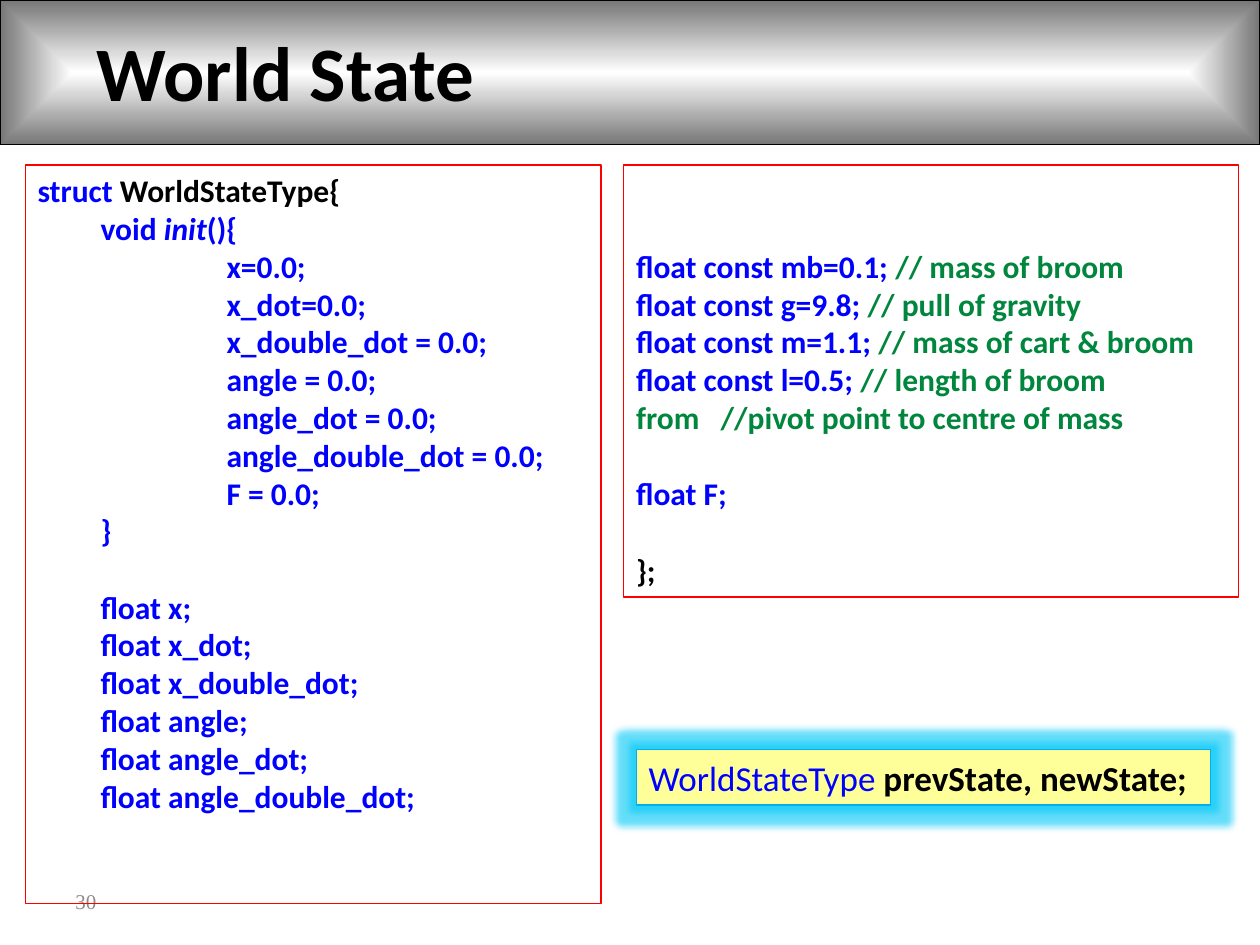
"""Builds the World State slide."""
import dataclasses

import lxml.etree
import pptx
import pptx.dml.color
import pptx.enum.shapes
import pptx.enum.text
import pptx.oxml.ns
import pptx.util

Inches = pptx.util.Inches
Pt = pptx.util.Pt
qn = pptx.oxml.ns.qn


@dataclasses.dataclass(frozen=True)
class Theme:
    """Colours, fonts and sizes of the slide."""
    black: str = "000000"
    white: str = "FFFFFF"
    metal: str = "767676"
    code: str = "0000FF"
    comment: str = "00863D"
    frame: str = "FF0000"
    note: str = "FFFF99"
    note_line: str = "00B0F0"
    glow: str = "00C8F8"
    muted: str = "8C8C8C"
    font: str = "Calibri"
    number_font: str = "Times New Roman"
    title_size: int = 44
    note_size: int = 20
    code_size: int = 18
    number_size: int = 12
    code_line: int = 22


@dataclasses.dataclass
class Line:
    """One paragraph of (text, colour, italic) spans; None is a line break."""
    spans: list
    indent: float = 0
    blank_before: int = 0


class SlideBuilder:
    """Draws the elements of the current slide in one style."""

    def __init__(self, slide, theme):
        self.slide = slide
        self.theme = theme

    def color(self, value):
        """Return a colour object."""
        return pptx.dml.color.RGBColor.from_string(value)

    def rectangle(self, place, line, fill=None):
        """Add a thinly outlined rectangle."""
        kind = pptx.enum.shapes.MSO_SHAPE.RECTANGLE
        box = self.slide.shapes.add_shape(kind, *map(Inches, place))
        box.shadow.inherit = False
        box.line.color.rgb = self.color(line)
        box.line.width = Pt(0.75)
        if fill:
            box.fill.solid()
            box.fill.fore_color.rgb = self.color(fill)
        else:
            box.fill.background()
        return box

    def header(self, place):
        """Add the metallic bar that shades towards its edges."""
        bar = self.rectangle(place, self.theme.black)
        bar.fill.gradient()
        for stop, value in zip(bar.fill.gradient_stops, (self.theme.white, self.theme.metal)):
            stop.color.rgb = self.color(value)
        gradient = bar._element.spPr.find(qn("a:gradFill"))
        gradient.remove(gradient.find(qn("a:lin")))
        shading = lxml.etree.SubElement(gradient, qn("a:path"), {"path": "shape"})
        sides = dict.fromkeys("ltrb", "50000")
        lxml.etree.SubElement(shading, qn("a:fillToRect"), sides)

    def label(self, place, text, size, font, color, bold=False):
        """Add one line of plain text, centred vertically."""
        box = self.slide.shapes.add_textbox(*map(Inches, place))
        frame = box.text_frame
        frame.word_wrap = True
        frame.vertical_anchor = pptx.enum.text.MSO_ANCHOR.MIDDLE
        para = frame.paragraphs[0]
        para.text = text
        self.style(para.font, size, font, bold)
        para.font.color.rgb = self.color(color)

    def style(self, target, size, font, bold):
        """Set size, typeface and weight."""
        target.size = Pt(size)
        target.name = font
        target.bold = bold

    def code_box(self, place, lines, top=0.05):
        """Add a framed box of code, set from the given top inset."""
        frame = self.rectangle(place, self.theme.frame).text_frame
        frame.word_wrap = True
        frame.margin_top = Inches(top)
        frame.vertical_anchor = pptx.enum.text.MSO_ANCHOR.TOP
        for index, line in enumerate(lines):
            para = frame.add_paragraph() if index else frame.paragraphs[0]
            para.alignment = pptx.enum.text.PP_ALIGN.LEFT
            para._p.get_or_add_pPr().set("marL", str(Inches(line.indent)))
            if line.blank_before:
                para.space_before = Pt(line.blank_before * self.theme.code_line)
            self.style(para.font, self.theme.code_size, self.theme.font, True)
            self.spans(para, line.spans)

    def spans(self, para, spans):
        """Add coloured runs to a paragraph."""
        for entry in spans:
            if entry is None:
                para.add_line_break()
                continue
            text, color, *italic = entry
            span = para.add_run()
            span.text = text
            span.font.color.rgb = self.color(color)
            if italic:
                span.font.italic = True

    def note(self, place, kind, names):
        """Add the glowing declaration box."""
        box = self.rectangle(place, self.theme.note_line, self.theme.note)
        effects = box._element.spPr.find(qn("a:effectLst"))
        glow = lxml.etree.SubElement(effects, qn("a:glow"), {"rad": str(Pt(8))})
        tint = lxml.etree.SubElement(glow, qn("a:srgbClr"), {"val": self.theme.glow})
        lxml.etree.SubElement(tint, qn("a:alpha"), {"val": "60000"})
        box.text_frame.word_wrap = False
        para = box.text_frame.paragraphs[0]
        para.alignment = pptx.enum.text.PP_ALIGN.LEFT
        self.style(para.font, self.theme.note_size, self.theme.font, False)
        self.spans(para, [(kind, self.theme.code), (names, self.theme.black)])
        para.runs[1].font.bold = True


def main():
    """Build and save the deck."""
    theme = Theme()
    deck = pptx.Presentation()
    deck.slide_width, deck.slide_height = Inches(10), Inches(7.5)
    page = SlideBuilder(deck.slides.add_slide(deck.slide_layouts[6]), theme)

    page.label((0.5, 6.95, 2.33, 0.4), "30", theme.number_size, theme.number_font, theme.muted)
    page.header((0, 0, 10, 1.15))
    page.label((0.67, 0, 7.16, 1.13), "World State", theme.title_size, theme.font,
               theme.black, bold=True)

    variables = ["x", "x_dot", "x_double_dot", "angle", "angle_dot", "angle_double_dot"]
    resets = ["x=0.0;"] + [f"{name} = 0.0;" for name in variables[2:] + ["F"]]
    resets.insert(1, "x_dot=0.0;")
    struct = [
        Line([("struct ", theme.code), ("WorldStateType{", theme.black)]),
        Line([("void ", theme.code), ("init", theme.code, True), ("(){", theme.code)], 0.5),
        *[Line([(reset, theme.code)], 1.5) for reset in resets],
        Line([("}", theme.code)], 0.5),
        *[Line([(f"float {name};", theme.code)], 0.5, 0 if index else 1)
          for index, name in enumerate(variables)],
    ]
    page.code_box((0.2, 1.31, 4.57, 5.86), struct)

    constants = [
        ("mb=0.1", "// mass of broom"),
        ("g=9.8", "// pull of gravity"),
        ("m=1.1", "// mass of cart & broom"),
        ("l=0.5", "// length of broom "),
    ]
    members = [Line([(f"float const {value}; ", theme.code), (remark, theme.comment)])
               for value, remark in constants]
    members[-1].spans += [None, ("from   //pivot point to centre of mass", theme.comment)]
    members += [Line([("float F;", theme.code)], blank_before=1),
                Line([("};", theme.black)], blank_before=1)]
    page.code_box((4.95, 1.31, 4.88, 3.43), members, top=0.65)

    page.note((5.05, 5.95, 4.56, 0.44), "WorldStateType ", "prevState, newState;")
    deck.save("out.pptx")


if __name__ == "__main__":
    main()
